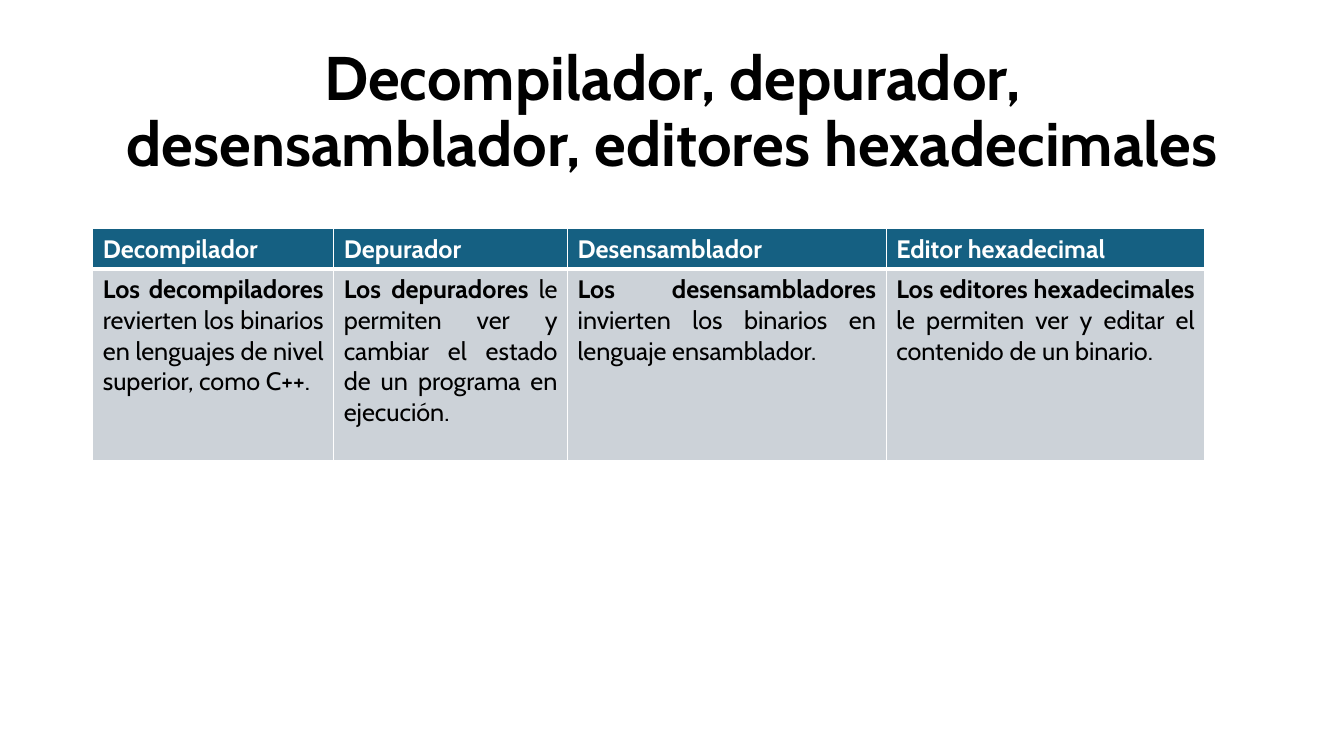
import pptx
import pptx.util
import pptx.dml.color
import pptx.enum.text
import pptx.oxml
import pptx.oxml.ns

title = "Decompilador, depurador, desensamblador, editores hexadecimales"
tools = [
    ("Decompilador", "Los decompiladores",
     " revierten los binarios en lenguajes de nivel superior, como C++."),
    ("Depurador", "Los depuradores",
     " le permiten ver y cambiar el estado de un programa en ejecución."),
    ("Desensamblador", "Los desensambladores",
     " invierten los binarios en lenguaje ensamblador."),
    ("Editor hexadecimal", "Los editores hexadecimales",
     " le permiten ver y editar el contenido de un binario."),
]
widths = [2.39, 2.32, 3.16, 3.16]
heights = [0.4, 1.9]
colors = {"head": "156082", "body": "CCD2D8", "line": "FFFFFF",
          "light": "FFFFFF", "dark": "000000"}
face = "Cabin"

Inches = pptx.util.Inches
Align = pptx.enum.text.PP_ALIGN


def color(name):
    return pptx.dml.color.RGBColor.from_string(colors[name])


def style(run, size, tint, bold):
    run.font.name = face
    run.font.size = pptx.util.Pt(size)
    run.font.bold = bold
    run.font.color.rgb = color(tint)


def border(cell, thick):
    props = cell._tc.get_or_add_tcPr()
    for side in "LRTB":
        wide = pptx.util.Pt(3 if side == thick else 1)
        props.append(pptx.oxml.parse_xml(
            f'<a:ln{side} {pptx.oxml.ns.nsdecls("a")} w="{wide}"><a:solidFill>'
            f'<a:srgbClr val="{colors["line"]}"/></a:solidFill></a:ln{side}>'))


def fill_cell(cell, parts, back, tint, thick):
    border(cell, thick)
    cell.fill.solid()
    cell.fill.fore_color.rgb = color(back)
    para = cell.text_frame.paragraphs[0]
    para.alignment = Align.JUSTIFY
    for i, part in enumerate(parts):
        run = para.add_run()
        run.text = part
        style(run, 18, tint, i == 0)


deck = pptx.Presentation()
deck.slide_width, deck.slide_height = Inches(13.33), Inches(7.5)
slide = deck.slides.add_slide(deck.slide_layouts[6])

box = slide.shapes.add_textbox(Inches(0.92), Inches(0.4), Inches(11.5), Inches(1.45))
frame = box.text_frame
frame.word_wrap = True
frame.vertical_anchor = pptx.enum.text.MSO_ANCHOR.MIDDLE
frame.text = title
para = frame.paragraphs[0]
para.alignment = Align.CENTER
para.line_spacing = 0.9
style(para.runs[0], 44, "dark", True)

table = slide.shapes.add_table(
    len(heights), len(tools), Inches(0.92), Inches(2.27),
    Inches(sum(widths)), Inches(sum(heights))).table
for row, high in zip(table.rows, heights):
    row.height = Inches(high)
for i, (name, lead, rest) in enumerate(tools):
    table.columns[i].width = Inches(widths[i])
    fill_cell(table.cell(0, i), [name], "head", "light", "B")
    fill_cell(table.cell(1, i), [lead, rest], "body", "dark", "T")

deck.save("out.pptx")
